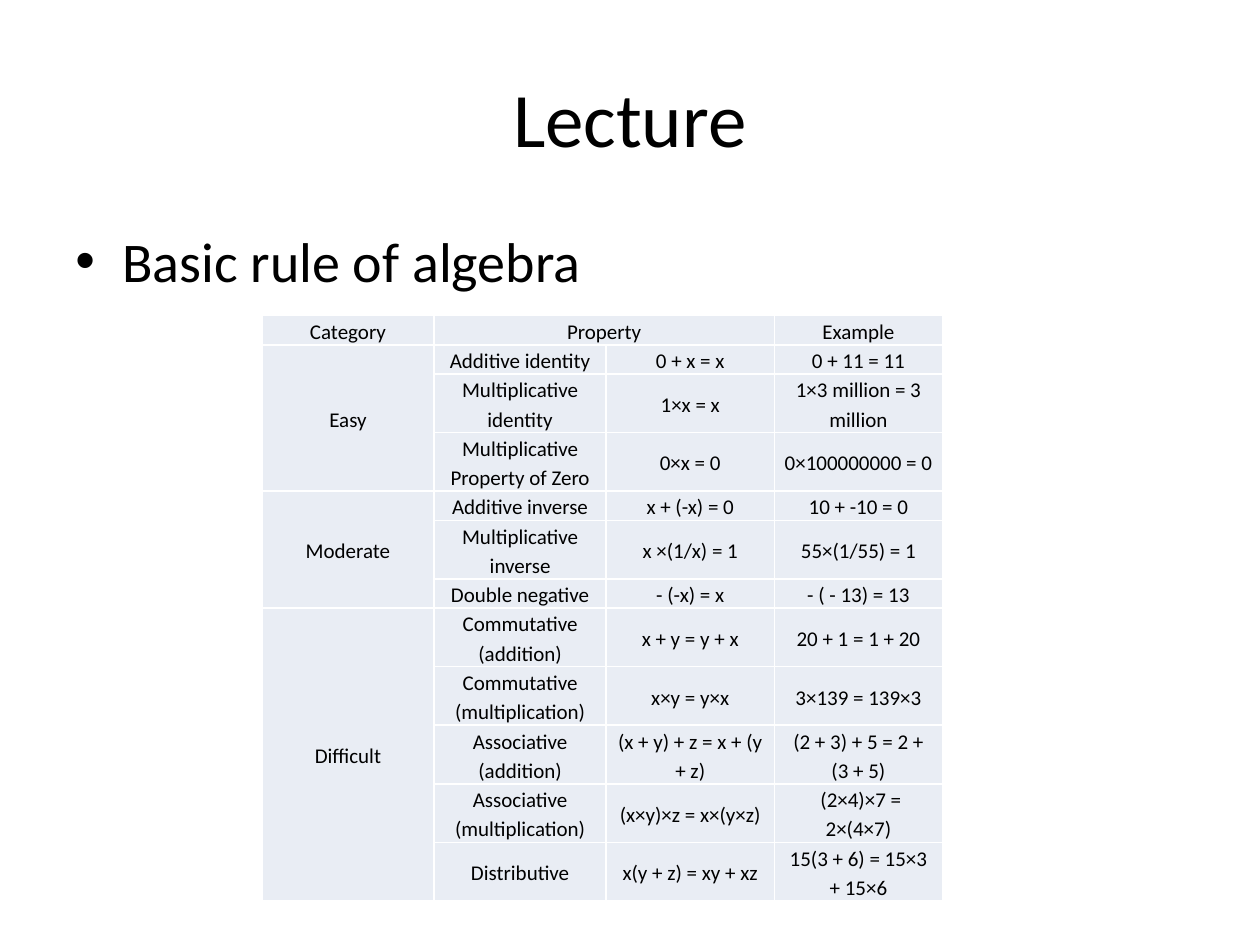
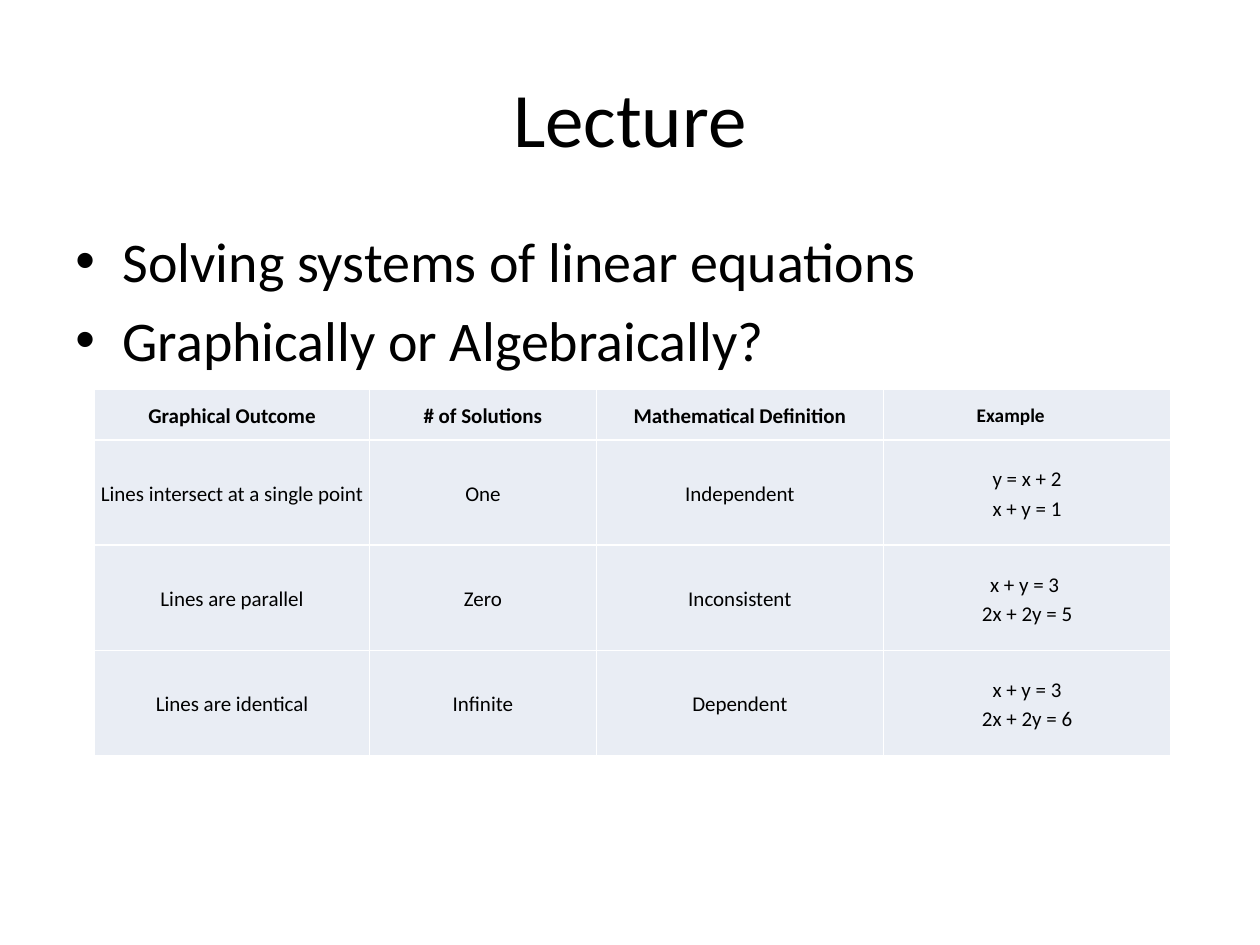
from lxml.etree import SubElement
from pptx import Presentation
from pptx.dml.color import RGBColor
from pptx.enum.text import MSO_ANCHOR, PP_ALIGN
from pptx.oxml import parse_xml
from pptx.oxml.ns import nsdecls, qn
from pptx.util import Cm, Pt

BLACK = RGBColor(0x00, 0x00, 0x00)
WHITE = RGBColor(0xFF, 0xFF, 0xFF)
PALE = RGBColor(0xE9, 0xED, 0xF4)

RULES = {
    "Easy": [
        ("Additive identity", "0 + x = x", "0 + 11 = 11"),
        ("Multiplicative identity", "1×x = x", "1×3 million = 3 million"),
        ("Multiplicative Property of Zero", "0×x = 0", "0×100000000 = 0"),
    ],
    "Moderate": [
        ("Additive inverse", "x + (-x) = 0", "10 + -10 = 0"),
        ("Multiplicative inverse", "x ×(1/x) = 1", "55×(1/55) = 1"),
        ("Double negative", "- (-x) = x", "- ( - 13) = 13"),
    ],
    "Difficult": [
        ("Commutative (addition)", "x + y = y + x", "20 + 1 = 1 + 20"),
        ("Commutative (multiplication)", "x×y = y×x", "3×139 = 139×3"),
        ("Associative (addition)", "(x + y) + z = x + (y + z)", "(2 + 3) + 5 = 2 + (3 + 5)"),
        ("Associative (multiplication)", "(x×y)×z = x×(y×z)", " (2×4)×7 = 2×(4×7)"),
        ("Distributive", "x(y + z) = xy + xz", "15(3 + 6) = 15×3 + 15×6"),
    ],
}

SYSTEMS = [
    ("Graphical Outcome", "# of Solutions", "Mathematical Definition", "Example"),
    ("Lines intersect at a single point", "One", "Independent", "y = x + 2\nx + y = 1"),
    ("Lines are parallel", "Zero", "Inconsistent", "x + y = 3 \n2x + 2y = 5"),
    ("Lines are identical", "Infinite", "Dependent", "x + y = 3\n2x + 2y = 6"),
]


class Deck:
    """Holds the lecture style and the slide being built."""

    font = "Calibri"

    def __init__(self):
        self.prs = Presentation()
        self.prs.slide_width, self.prs.slide_height = Cm(25.4), Cm(19.05)

    def start(self, title, points):
        self.slide = self.prs.slides.add_slide(self.prs.slide_layouts[6])
        self.title(title)
        self.points(points)

    def words(self, par, text, size, bold=False):
        for num, line in enumerate(text.split("\n")):
            if num:
                par.add_line_break()
            run = par.add_run()
            run.text = line
            run.font.name = self.font
            run.font.size = Pt(size)
            run.font.bold = bold
            run.font.color.rgb = BLACK

    def box(self, top, height):
        frame = self.slide.shapes.add_textbox(Cm(1.27), Cm(top), Cm(22.86), Cm(height)).text_frame
        frame.word_wrap = True
        return frame

    def title(self, text):
        frame = self.box(0.76, 3.18)
        frame.vertical_anchor = MSO_ANCHOR.MIDDLE
        par = frame.paragraphs[0]
        par.alignment = PP_ALIGN.CENTER
        self.words(par, text, 44)

    def points(self, lines):
        frame = self.box(4.45, 12.57)
        for num, line in enumerate(lines):
            par = frame.add_paragraph() if num else frame.paragraphs[0]
            par.space_before = Pt(6.4)
            self.words(par, line, 32)
            props = par._p.get_or_add_pPr()
            props.set("marL", str(Cm(0.95)))
            props.set("indent", str(Cm(-0.95)))
            SubElement(props, qn("a:buFont")).set("typeface", "Arial")
            SubElement(props, qn("a:buChar")).set("char", "•")

    def table(self, left, top, cols, rows, cells, pad=0, head=False):
        shape = self.slide.shapes.add_table(
            len(rows), len(cols), Cm(left), Cm(top), Cm(sum(cols)), Cm(sum(rows)))
        grid = shape.table
        grid.first_row = grid.horz_banding = False
        for col, width in zip(grid.columns, cols):
            col.width = Cm(width)
        for num, (row, height, texts) in enumerate(zip(grid.rows, rows, cells)):
            row.height = Cm(height)
            for cell, text in zip(row.cells, texts):
                self.cell(cell, text, pad, head and num == 0)
        return grid

    def cell(self, cell, text, pad, bold):
        cell.margin_left = cell.margin_right = Cm(pad)
        cell.margin_top = cell.margin_bottom = 0
        cell.vertical_anchor = MSO_ANCHOR.MIDDLE
        cell.fill.solid()
        cell.fill.fore_color.rgb = PALE
        self.edge(cell)
        if text:
            par = cell.text_frame.paragraphs[0]
            par.alignment = PP_ALIGN.CENTER
            par.line_spacing = 1.15
            par.space_after = Pt(10)
            self.words(par, text, 12, bold)

    def edge(self, cell):
        props = cell._tc.get_or_add_tcPr()
        for spot, side in enumerate("LRTB"):
            props.insert(spot, parse_xml(
                f'<a:ln{side} {nsdecls("a")} w="{Pt(1)}"><a:solidFill>'
                f'<a:srgbClr val="{WHITE}"/></a:solidFill></a:ln{side}>'))


def rules(deck):
    deck.start("Lecture", ["Basic rule of algebra"])
    cells = [("Category", "Property", "", "Example")]
    spans = []
    for name, group in RULES.items():
        first = len(cells)
        cells += [("" if num else name, *row) for num, row in enumerate(group)]
        spans.append((first, len(cells) - 1))
    line = 0.59
    single = {0, 1, 4, 6}
    rows = [line if num in single else 2 * line for num in range(len(cells))]
    grid = deck.table(5.28, 6.36, [3.47, 3.47, 3.39, 3.39], rows, cells, pad=0.17)
    grid.cell(0, 1).merge(grid.cell(0, 2))
    for first, last in spans:
        grid.cell(first, 0).merge(grid.cell(last, 0))


def systems(deck):
    deck.start("Lecture", ["Solving systems of linear equations", "Graphically or Algebraically?"])
    rows = [1.03] + [2.12] * 3
    grid = deck.table(1.91, 7.84, [5.54, 4.57, 5.79, 5.79], rows, SYSTEMS, head=True)
    par = grid.cell(0, 3).text_frame.paragraphs[0]
    par.alignment = PP_ALIGN.LEFT
    par._p.get_or_add_pPr().set("marL", str(Cm(1.88)))
    par.runs[0].font.size = Pt(11)


def main():
    deck = Deck()
    rules(deck)
    systems(deck)
    deck.prs.save("out.pptx")


if __name__ == "__main__":
    main()
